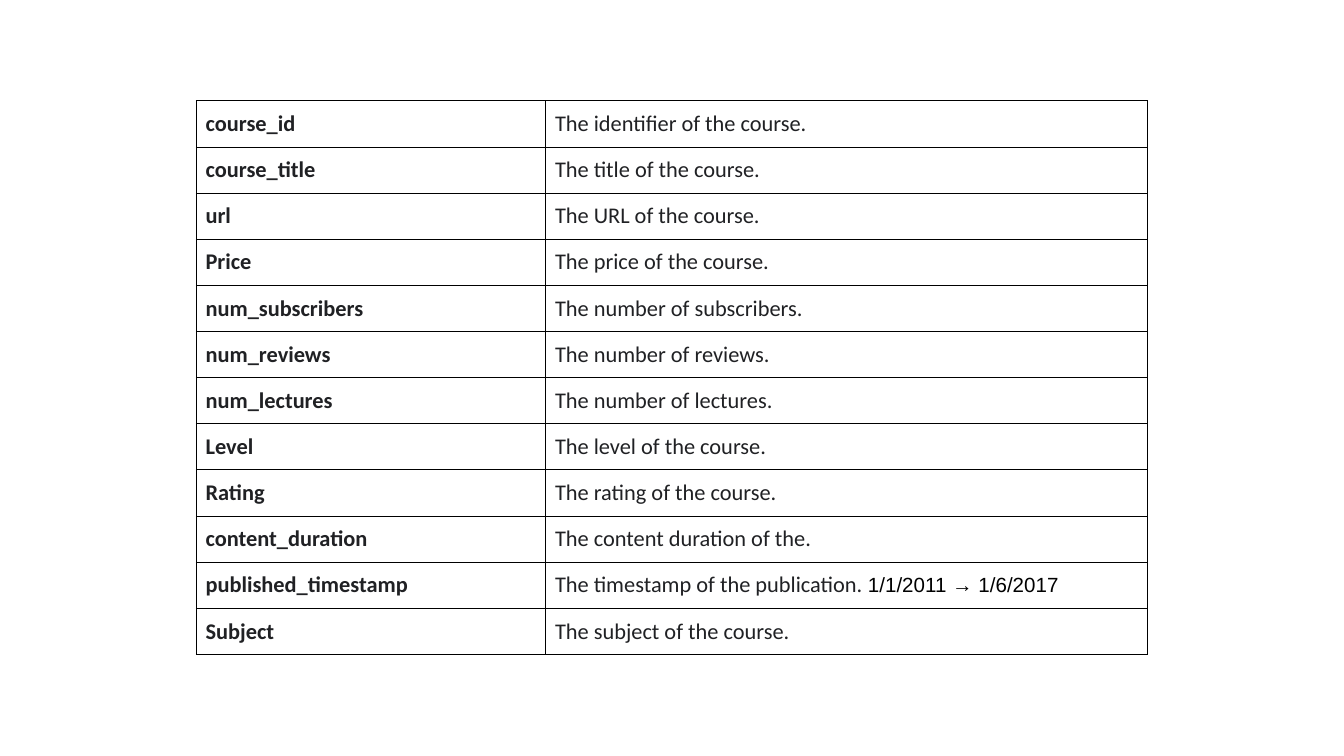
from dataclasses import dataclass

from lxml.etree import SubElement
from pptx import Presentation
from pptx.dml.color import RGBColor
from pptx.enum.text import MSO_ANCHOR
from pptx.oxml.ns import qn
from pptx.util import Inches, Pt

# Field name, then the pieces of its description; a second piece is a date range.
FIELDS = [
    ("course_id", ["The identifier of the course."]),
    ("course_title", ["The title of the course."]),
    ("url", ["The URL of the course."]),
    ("Price", ["The price of the course."]),
    ("num_subscribers", ["The number of subscribers."]),
    ("num_reviews", ["The number of reviews."]),
    ("num_lectures", ["The number of lectures."]),
    ("Level", ["The level of the course."]),
    ("Rating", ["The rating of the course."]),
    ("content_duration", ["The content duration of the."]),
    ("published_timestamp", ["The timestamp of the publication. ", "1/1/2011 → 1/6/2017"]),
    ("Subject", ["The subject of the course."]),
]


@dataclass(frozen=True)
class Theme:
    text_font: str = "Calibri"
    text_size: float = 12
    text_color: str = "202124"
    date_font: str = "Arial"
    date_size: float = 11
    date_color: str = "000000"
    border_color: str = "000000"
    border_width: float = 0.5


THEME = Theme()
SLIDE_WIDTH = 10
SLIDE_HEIGHT = SLIDE_WIDTH * 9 / 16
TABLE_LEFT, TABLE_TOP, TABLE_HEIGHT = 1.46, 0.75, 4.12
COLUMN_WIDTHS = (2.6, 4.48)
SIDE_MARGIN = 0.07


def draw_borders(cell):
    properties = cell._tc.get_or_add_tcPr()
    for position, side in enumerate(("a:lnL", "a:lnR", "a:lnT", "a:lnB")):
        line = SubElement(properties, qn(side), w=str(Pt(THEME.border_width)))
        fill = SubElement(line, qn("a:solidFill"))
        SubElement(fill, qn("a:srgbClr"), val=THEME.border_color)
        properties.insert(position, line)  # borders come before the fill


def add_run(paragraph, text, font_name, size, color, bold=False):
    run = paragraph.add_run()
    run.text = text
    run.font.name = font_name
    run.font.size = Pt(size)
    run.font.color.rgb = RGBColor.from_string(color)
    run.font.bold = bold


def fill_cell(cell, pieces, bold):
    cell.fill.background()
    cell.vertical_anchor = MSO_ANCHOR.MIDDLE
    cell.margin_left = cell.margin_right = Inches(SIDE_MARGIN)
    cell.margin_top = cell.margin_bottom = 0
    draw_borders(cell)
    paragraph = cell.text_frame.paragraphs[0]
    text, *dates = pieces
    add_run(paragraph, text, THEME.text_font, THEME.text_size, THEME.text_color, bold)
    for date_range in dates:
        add_run(paragraph, date_range, THEME.date_font, THEME.date_size, THEME.date_color)


def main():
    deck = Presentation()
    deck.slide_width, deck.slide_height = Inches(SLIDE_WIDTH), Inches(SLIDE_HEIGHT)
    slide = deck.slides.add_slide(deck.slide_layouts[6])

    fields_table = slide.shapes.add_table(
        len(FIELDS), len(COLUMN_WIDTHS), Inches(TABLE_LEFT), Inches(TABLE_TOP),
        Inches(sum(COLUMN_WIDTHS)), Inches(TABLE_HEIGHT),
    ).table
    fields_table.first_row = fields_table.horz_banding = False
    for column, width in zip(fields_table.columns, COLUMN_WIDTHS):
        column.width = Inches(width)
    for row, (name, description) in zip(fields_table.rows, FIELDS):
        fill_cell(row.cells[0], [name], bold=True)
        fill_cell(row.cells[1], description, bold=False)

    deck.save("out.pptx")


if __name__ == "__main__":
    main()
